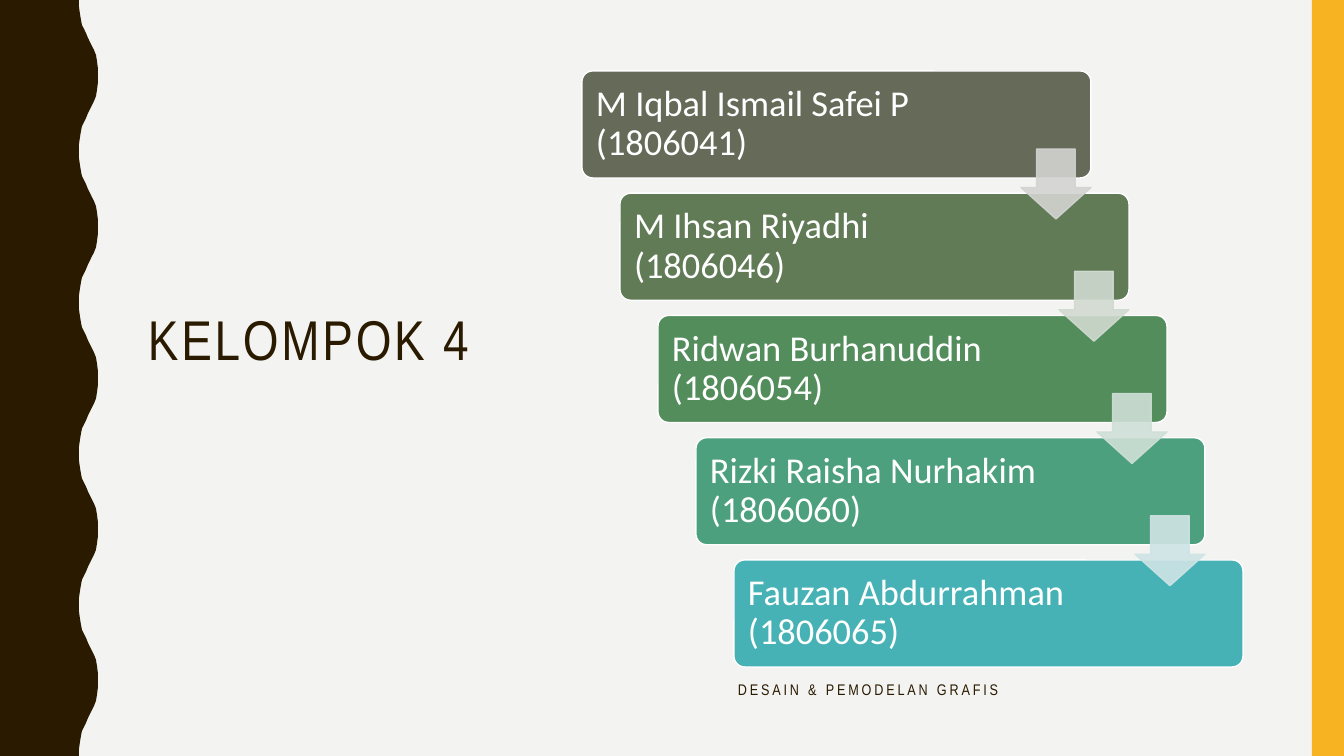
from lxml.etree import SubElement
from pptx import Presentation
from pptx.dml.color import RGBColor
from pptx.enum.shapes import MSO_SHAPE as Preset
from pptx.enum.text import MSO_ANCHOR as Anchor
from pptx.oxml.ns import qn
from pptx.util import Pt

EMU_PER_PIXEL = 914400 / 100.8
WIDTH, HEIGHT = 1344, 756

PAPER = RGBColor(0xF3, 0xF3, 0xF2)
BROWN = RGBColor(0x2A, 0x1A, 0x00)
YELLOW = RGBColor(0xF8, 0xB3, 0x23)
WHITE = RGBColor(0xFF, 0xFF, 0xFF)
CARD_COLORS = [
    RGBColor(0x65, 0x6A, 0x59),
    RGBColor(0x60, 0x7B, 0x56),
    RGBColor(0x52, 0x8D, 0x5B),
    RGBColor(0x4D, 0xA0, 0x7E),
    RGBColor(0x46, 0xB2, 0xB5),
]
ARROW_COLORS = [
    RGBColor(0xD3, 0xD4, 0xD1),
    RGBColor(0xD1, 0xDA, 0xD0),
    RGBColor(0xCF, 0xE0, 0xD7),
    RGBColor(0xCF, 0xE4, 0xE5),
]
HEADING_FONT, BODY_FONT = "Arial Narrow", "Calibri"

MEMBERS = [
    "M Iqbal Ismail Safei P (1806041)",
    "M Ihsan Riyadhi (1806046)",
    "Ridwan Burhanuddin (1806054)",
    "Rizki Raisha Nurhakim (1806060)",
    "Fauzan Abdurrahman (1806065)",
]

# Trough-to-crest half of one wave, as (x, y)
WAVE_COUNT = 5
RISE = [(79, 0), (79, 7), (80, 14), (81, 20), (82, 25), (84, 29), (86, 33),
        (88, 38), (90, 42), (92, 46), (94, 50), (96, 55), (97, 61), (98, 69)]


def px(pixels):
    """Turn pixels into EMU."""
    return round(pixels * EMU_PER_PIXEL)


def paint(shape, fill, line=None):
    """Give a shape a flat fill, an optional 1 pt line and no shadow."""
    shape.shadow.inherit = False
    shape.fill.solid()
    shape.fill.fore_color.rgb = fill
    if line is None:
        shape.line.fill.background()
    else:
        shape.line.color.rgb = line
        shape.line.width = Pt(1)


def add_preset(slide, preset, box, fill, line=None, adjustments=()):
    """Add a painted preset shape in a pixel box."""
    shape = slide.shapes.add_shape(preset, *map(px, box))
    for index, value in enumerate(adjustments):
        shape.adjustments[index] = value
    paint(shape, fill, line)
    return shape


def add_text(slide, box, text, font, size, color, insets=(10, 5, 10, 5),
             anchor=Anchor.MIDDLE, tracking=0):
    """Add one wrapped paragraph; insets run left, top, right, bottom."""
    frame = slide.shapes.add_textbox(*map(px, box)).text_frame
    frame.word_wrap = True
    frame.vertical_anchor = anchor
    (frame.margin_left, frame.margin_top,
     frame.margin_right, frame.margin_bottom) = map(px, insets)
    paragraph = frame.paragraphs[0]
    paragraph.text = text
    paragraph.line_spacing = 0.9
    paragraph.font.name = font
    paragraph.font.size = Pt(size)
    paragraph.font.color.rgb = color
    if tracking:
        properties = paragraph.runs[0]._r.get_or_add_rPr()
        properties.set("spc", str(tracking * 100))


def add_wavy_edge(slide, box):
    """Draw the brown band whose right side is a row of equal waves."""
    left, top, width, height = box
    period = height / WAVE_COUNT
    wave = RISE[1:] + [(width, period / 2)]
    wave += [(x, period - y) for x, y in reversed(RISE)]
    outline = [RISE[0]]
    for number in range(WAVE_COUNT):
        outline += [(x, y + number * period) for x, y in wave]
    outline.append((0, height))
    band = slide.shapes.build_freeform(px(left), px(top), scale=1.0)
    band.add_line_segments([(px(left + x), px(top + y)) for x, y in outline])
    paint(band.convert_to_shape(), BROWN)


def add_headings(slide, title_box, course_box):
    """Write the group title and the course name."""
    add_text(slide, title_box, "KELOMPOK 4", HEADING_FONT, 40, BROWN,
             insets=(10, 5, 10, 63), tracking=2)
    add_text(slide, course_box, "DESAIN & PEMODELAN GRAFIS", HEADING_FONT, 11,
             BROWN, insets=(10, 21, 10, 5), anchor=Anchor.TOP, tracking=2)


def add_arrow(slide, box, color):
    """Add a slightly see-through down arrow."""
    arrow = add_preset(slide, Preset.DOWN_ARROW, box, color, color, (0.55, 0.45))
    for tone in arrow._element.spPr.iter(qn("a:srgbClr")):
        SubElement(tone, qn("a:alpha"), val="90000")


def add_member_steps(slide, box):
    """Lay the member cards as a staircase linked by arrows."""
    left, top, width, height = box
    card_width, card_height, arrow_size = 509, 107, 70
    gaps = len(MEMBERS) - 1
    step_x = (width - card_width) / gaps
    step_y = (height - card_height) / gaps
    corners = [(left + i * step_x, top + i * step_y)
               for i in range(len(MEMBERS))]
    for i, (x, y) in enumerate(corners):
        add_preset(slide, Preset.ROUNDED_RECTANGLE,
                   (x, y, card_width, card_height),
                   CARD_COLORS[i], WHITE, (0.1,))
        text_width = 380 if i == 0 else 395
        add_text(slide, (x + 3, y + 3, text_width, card_height - 6),
                 MEMBERS[i], BODY_FONT, 26, WHITE, insets=(11, 11, 11, 11))
    for (x, y), color in zip(corners, ARROW_COLORS):
        add_arrow(slide, (x + card_width - arrow_size, y + 78,
                          arrow_size, arrow_size), color)


def build():
    """Build the group slide and save it."""
    deck = Presentation()
    deck.slide_width, deck.slide_height = px(WIDTH), px(HEIGHT)
    slide = deck.slides.add_slide(deck.slide_layouts[6])
    slide.background.fill.solid()
    slide.background.fill.fore_color.rgb = PAPER
    add_wavy_edge(slide, (0, 0, 98, HEIGHT))
    add_preset(slide, Preset.RECTANGLE, (1312, 0, 32, HEIGHT), YELLOW)
    add_headings(slide, (138, 72, 373, 598), (728, 666, 616, 90))
    add_member_steps(slide, (582, 71, 661, 596))
    deck.save("out.pptx")


build()
